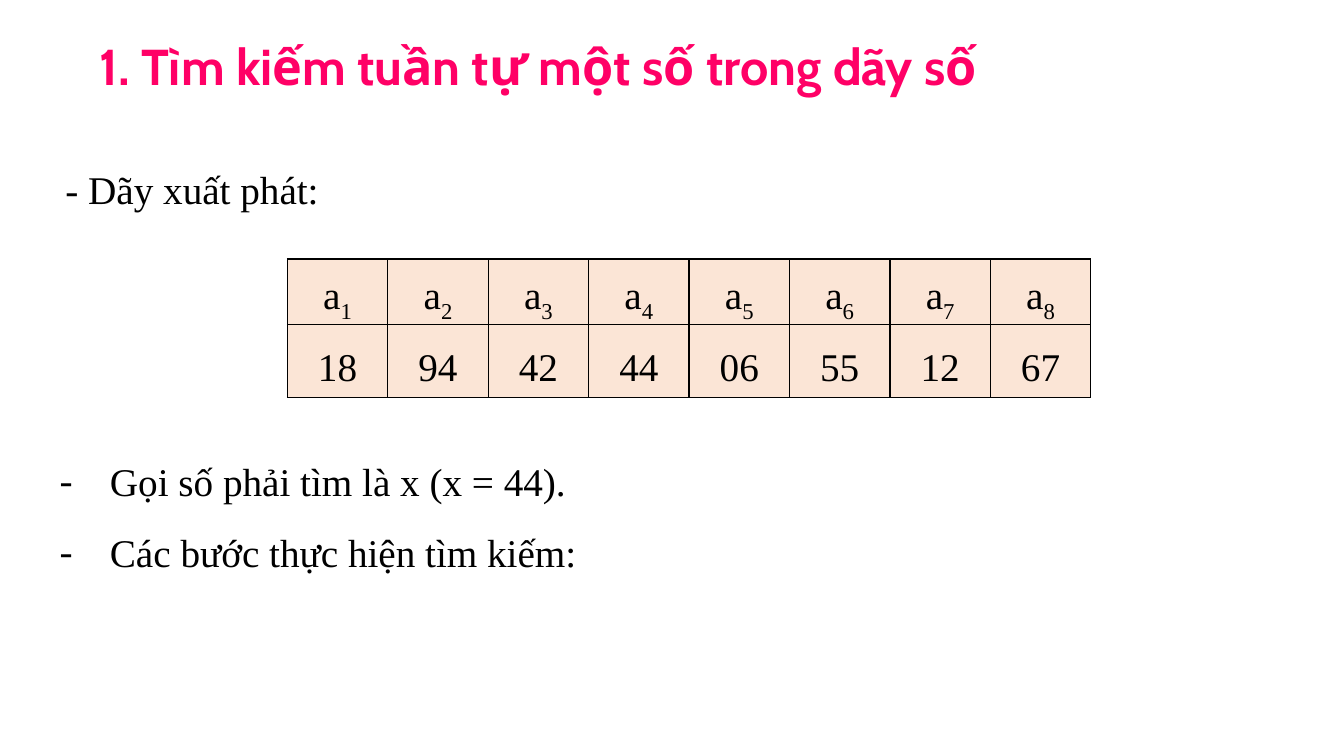
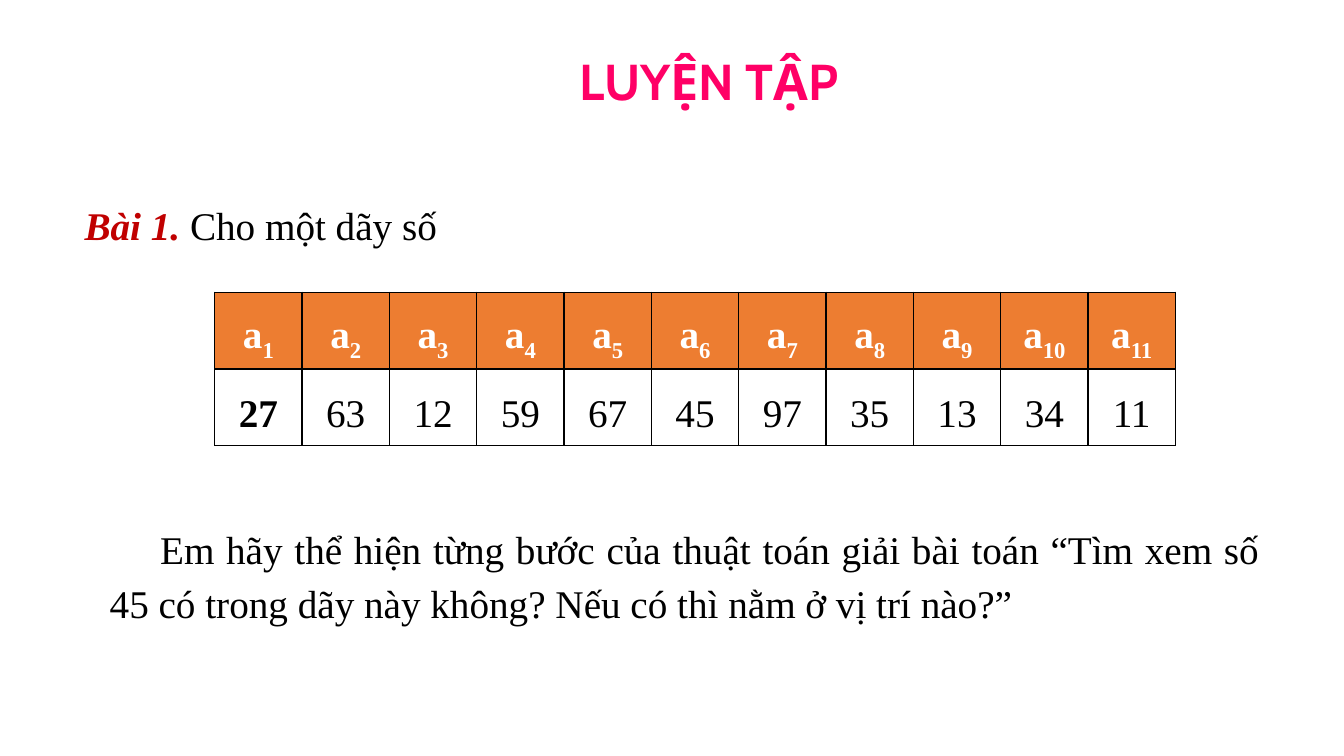
from lxml import etree
from pptx import Presentation
from pptx.dml.color import RGBColor
from pptx.enum.text import MSO_ANCHOR as Anchor, MSO_AUTO_SIZE as AutoSize, PP_ALIGN as Align
from pptx.oxml.ns import qn
from pptx.util import Inches, Pt

COLORS = {"title": "FF0066", "text": "000000", "label": "C00000", "white": "FFFFFF",
          "peach": "FBE5D6", "orange": "ED7D31"}
TITLE_FONT, TEXT_FONT = "Cabin", "Times New Roman"


def add_run(paragraph, text, color="text", size=28, name=TEXT_FONT,
            bold=False, italic=False, subscript=False):
    run = paragraph.add_run()
    run.text = text
    run.font.size, run.font.name = Pt(size), name
    run.font.bold, run.font.italic = bold, italic
    run.font.color.rgb = RGBColor.from_string(COLORS[color])
    if subscript:
        run._r.get_or_add_rPr().set("baseline", "-25000")


def add_number_table(slide, box, row_heights, numbers, fills, header_color, bold=False):
    """Header row a1, a2, ... above the row of numbers; bold marks header and first number."""
    left, top, width = box
    table = slide.shapes.add_table(2, len(numbers), Inches(left), Inches(top),
                                   Inches(width), Inches(sum(row_heights))).table
    table.first_row = table.horz_banding = False
    for row, height in zip(table.rows, row_heights):
        row.height = Inches(height)
    for index, number in enumerate(numbers):
        table.columns[index].width = Inches(width / len(numbers))
        for row_index, fill in enumerate(fills):
            cell = table.cell(row_index, index)
            cell.fill.solid()
            cell.fill.fore_color.rgb = RGBColor.from_string(COLORS[fill])
            cell.vertical_anchor = Anchor.MIDDLE
            cell.margin_left = cell.margin_right = Inches(0.07)
            cell.margin_top, cell.margin_bottom = Inches(0.08), 0
            paragraph = cell.text_frame.paragraphs[0]
            paragraph.alignment, paragraph.line_spacing = Align.CENTER, 1.15
            if row_index == 0:
                add_run(paragraph, "a", header_color, bold=bold)
                add_run(paragraph, str(index + 1), header_color, bold=bold, subscript=True)
            else:
                add_run(paragraph, number, bold=bold and index == 0)
            # Borders go before the fill in the cell properties
            properties = cell._tc.get_or_add_tcPr()
            for position, side in enumerate(("lnL", "lnR", "lnT", "lnB")):
                line = etree.Element(qn(f"a:{side}"), w=str(Pt(1)))
                solid = etree.SubElement(line, qn("a:solidFill"))
                etree.SubElement(solid, qn("a:srgbClr"), val=COLORS["text"])
                properties.insert(position, line)


presentation = Presentation()
presentation.slide_width, presentation.slide_height = Inches(13.33), Inches(7.5)
search_slide = presentation.slides.add_slide(presentation.slide_layouts[1])
practice_slide = presentation.slides.add_slide(presentation.slide_layouts[5])

# Titles
for slide, text, (left, top, width) in (
    (search_slide, "1. Tìm kiếm tuần tự một số trong dãy số", (0.89, 0.3, 11.53)),
    (practice_slide, "LUYỆN TẬP", (5.65, 0.45, 3.2)),
):
    title = slide.shapes.title
    title.left, title.top = Inches(left), Inches(top)
    title.width, title.height = Inches(width), Inches(0.71)
    title.text_frame.auto_size = AutoSize.NONE
    title.text_frame.vertical_anchor = Anchor.TOP
    paragraph = title.text_frame.paragraphs[0]
    paragraph.alignment = Align.LEFT
    add_run(paragraph, text, "title", 36, TITLE_FONT, bold=True)

# Number sequences
add_number_table(search_slide, (2.85, 2.57, 7.97), (0.61, 0.73),
                 ("18", "94", "42", "44", "06", "55", "12", "67"),
                 ("peach", "peach"), "text")
add_number_table(practice_slide, (2.13, 2.9, 9.53), (0.76, 0.76),
                 ("27", "63", "12", "59", "67", "45", "97", "35", "13", "34", "11"),
                 ("orange", "white"), "white", bold=True)

# Lead-in lines and the exercise question
question = ("Em hãy thể hiện từng bước của thuật toán giải bài toán “Tìm xem số 45 "
            "có trong dãy này không? Nếu có thì nằm ở vị trí nào?”")
for slide, (left, top, width, height), alignment, indent, runs in (
    (search_slide, (0.55, 1.52, 3.5, 0.64), Align.LEFT, 0, [("- Dãy xuất phát:", {})]),
    (practice_slide, (0.74, 1.88, 4.5, 0.64), Align.LEFT, 0,
     [("Bài 1. ", {"color": "label", "bold": True, "italic": True}), ("Cho một dãy số", {})]),
    (practice_slide, (0.99, 5.09, 11.6, 1.18), Align.JUSTIFY, 0.5, [(question, {})]),
):
    text_box = slide.shapes.add_textbox(Inches(left), Inches(top), Inches(width), Inches(height))
    text_box.text_frame.word_wrap = True
    paragraph = text_box.text_frame.paragraphs[0]
    paragraph.alignment, paragraph.line_spacing = alignment, 1.15
    paragraph._p.get_or_add_pPr().set("indent", str(Inches(indent)))
    for text, style in runs:
        add_run(paragraph, text, **style)

# Dashed list
body = search_slide.placeholders[1]
body.left, body.top, body.width, body.height = Inches(0.49), Inches(4.42), Inches(6), Inches(1.35)
body.text_frame.auto_size = AutoSize.NONE
for index, text in enumerate(("Gọi số phải tìm là x (x = 44).", "Các bước thực hiện tìm kiếm:")):
    paragraph = body.text_frame.add_paragraph() if index else body.text_frame.paragraphs[0]
    properties = paragraph._p.get_or_add_pPr()
    properties.set("marL", str(Inches(0.5)))
    properties.set("indent", str(Inches(-0.5)))
    etree.SubElement(properties, qn("a:buFont"), typeface=TEXT_FONT)
    etree.SubElement(properties, qn("a:buChar"), char="-")
    paragraph.alignment, paragraph.line_spacing = Align.JUSTIFY, 1.15
    paragraph.space_before = Pt(6 if index else 0)
    paragraph.space_after = Pt(6)
    add_run(paragraph, text)

presentation.save("out.pptx")
